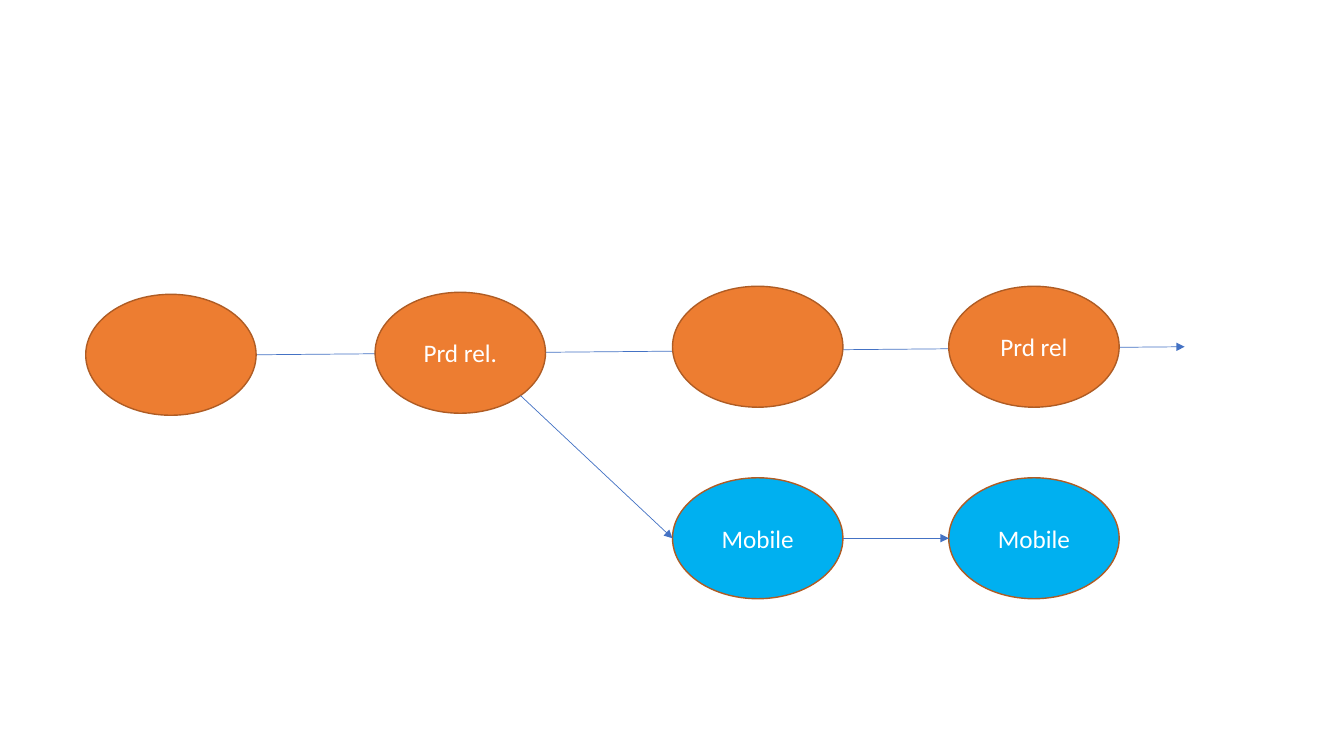
from lxml.etree import SubElement
from pptx import Presentation
from pptx.dml.color import RGBColor
from pptx.enum.shapes import MSO_CONNECTOR, MSO_SHAPE
from pptx.enum.text import MSO_ANCHOR, PP_ALIGN
from pptx.oxml.ns import qn
from pptx.util import Inches, Pt

ORANGE = RGBColor(0xED, 0x7D, 0x31)
SKY = RGBColor(0x00, 0xB0, 0xF0)
BROWN = RGBColor(0xAF, 0x5C, 0x24)
BLUE = RGBColor(0x44, 0x72, 0xC4)
WHITE = RGBColor(0xFF, 0xFF, 0xFF)

NODE_WIDTH, NODE_HEIGHT = 1.69, 1.2
DIAGONAL = 0.5 ** 0.5


def write_text(frame, text, size=18, color=WHITE, font="Calibri"):
    """Write one centred line of formatted text."""
    frame.word_wrap = True
    frame.vertical_anchor = MSO_ANCHOR.MIDDLE
    paragraph = frame.paragraphs[0]
    paragraph.alignment = PP_ALIGN.CENTER
    run = paragraph.add_run()
    run.text = text
    run.font.size = Pt(size)
    run.font.name = font
    run.font.color.rgb = color


def add_node(slide, left, top, label, fill):
    """Draw a release ellipse with an optional label."""
    node = slide.shapes.add_shape(
        MSO_SHAPE.OVAL, Inches(left), Inches(top), Inches(NODE_WIDTH), Inches(NODE_HEIGHT)
    )
    node.shadow.inherit = False
    node.fill.solid()
    node.fill.fore_color.rgb = fill
    node.line.color.rgb = BROWN
    node.line.width = Pt(1)
    if label:
        write_text(node.text_frame, label)


def add_arrow(slide, start, end):
    """Draw a thin straight arrow between two points."""
    arrow = slide.shapes.add_connector(
        MSO_CONNECTOR.STRAIGHT, *(Inches(value) for value in (*start, *end))
    )
    arrow.line.color.rgb = BLUE
    arrow.line.width = Pt(0.5)
    properties = arrow.element.spPr
    SubElement(properties.find(qn("a:ln")), qn("a:tailEnd"), type="triangle")
    SubElement(properties, qn("a:effectLst"))


def add_product_line(slide, left, top, width):
    """Draw the product releases over one arrow, relative to the box."""
    add_arrow(slide, (left + NODE_WIDTH, top + 0.68), (left + width, top + NODE_HEIGHT / 2))
    releases = [(0, 0.08, ""), (2.87, 0.06, "Prd rel."), (5.82, 0, ""), (8.56, 0, "Prd rel")]
    for offset, drop, label in releases:
        add_node(slide, left + offset, top + drop, label, ORANGE)


def add_mobile_branch(slide, left, top, width, branch_node):
    """Draw the mobile releases and the arrow from the node they branch from."""
    last = left + width - NODE_WIDTH
    middle = top + NODE_HEIGHT / 2
    for node_left in (left, last):
        add_node(slide, node_left, top, "Mobile", SKY)
    branch_left, branch_top = branch_node
    reach = (1 + DIAGONAL) / 2
    branch_point = (branch_left + NODE_WIDTH * reach, branch_top + NODE_HEIGHT * reach)
    add_arrow(slide, branch_point, (left, middle))
    add_arrow(slide, (left + NODE_WIDTH, middle), (last, middle))


def main():
    """Build the release diagram and save it."""
    deck = Presentation()
    deck.slide_width, deck.slide_height = Inches(13.33), Inches(7.5)
    slide = deck.slides.add_slide(deck.slide_layouts[6])
    add_product_line(slide, left=0.85, top=2.84, width=10.9)
    add_mobile_branch(slide, left=6.67, top=4.74, width=4.43, branch_node=(3.72, 2.9))
    deck.save("out.pptx")


main()
